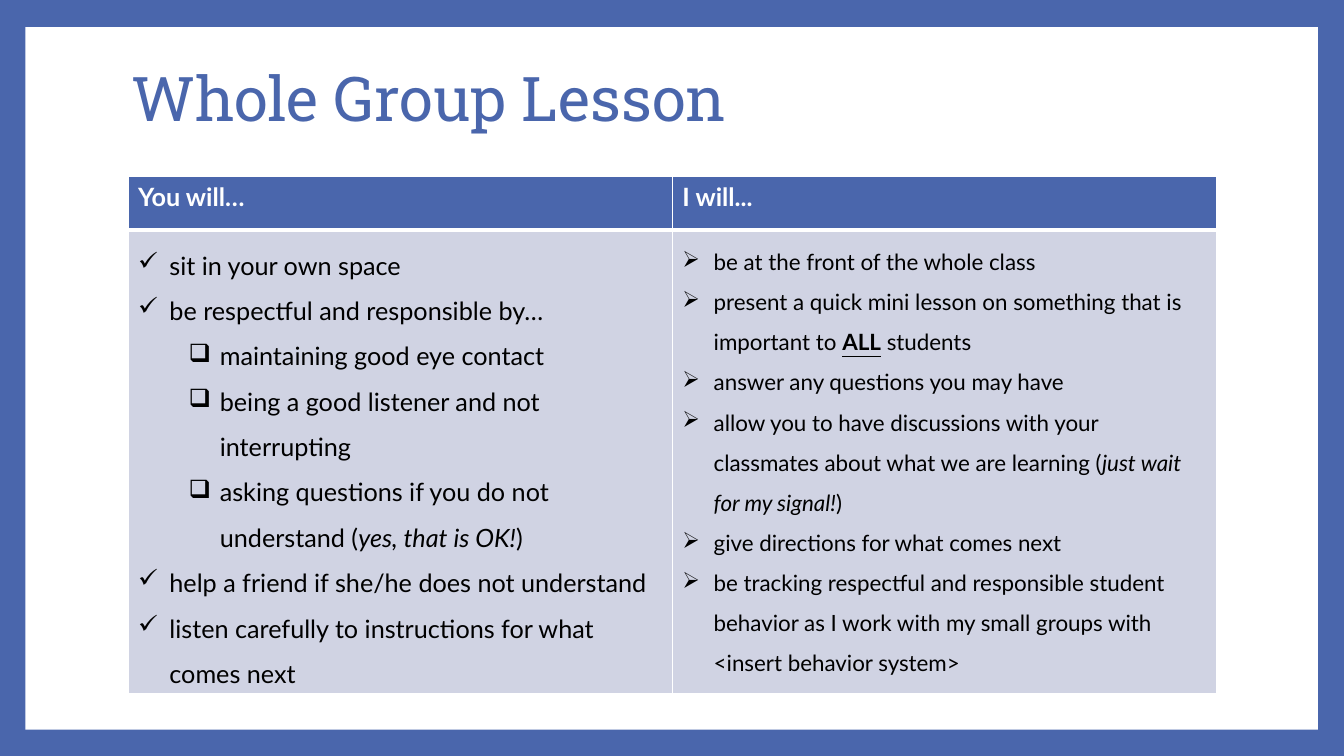
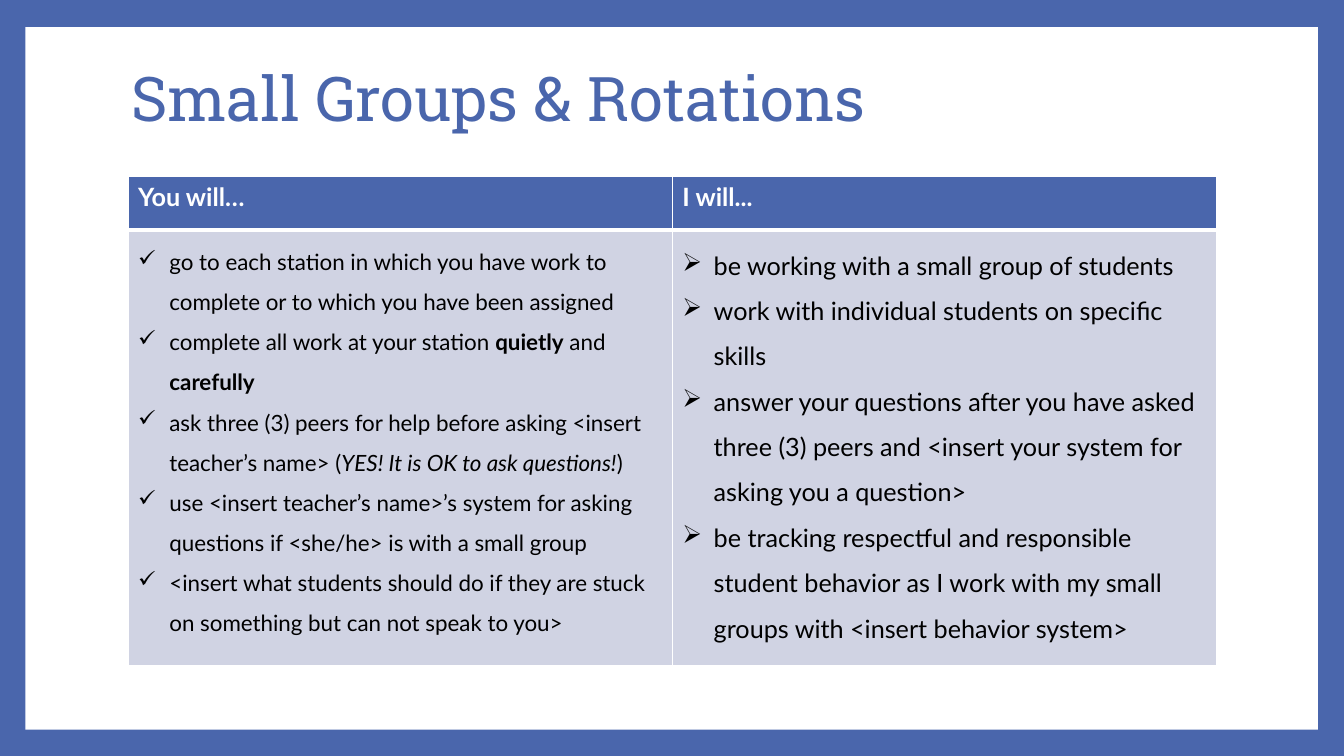
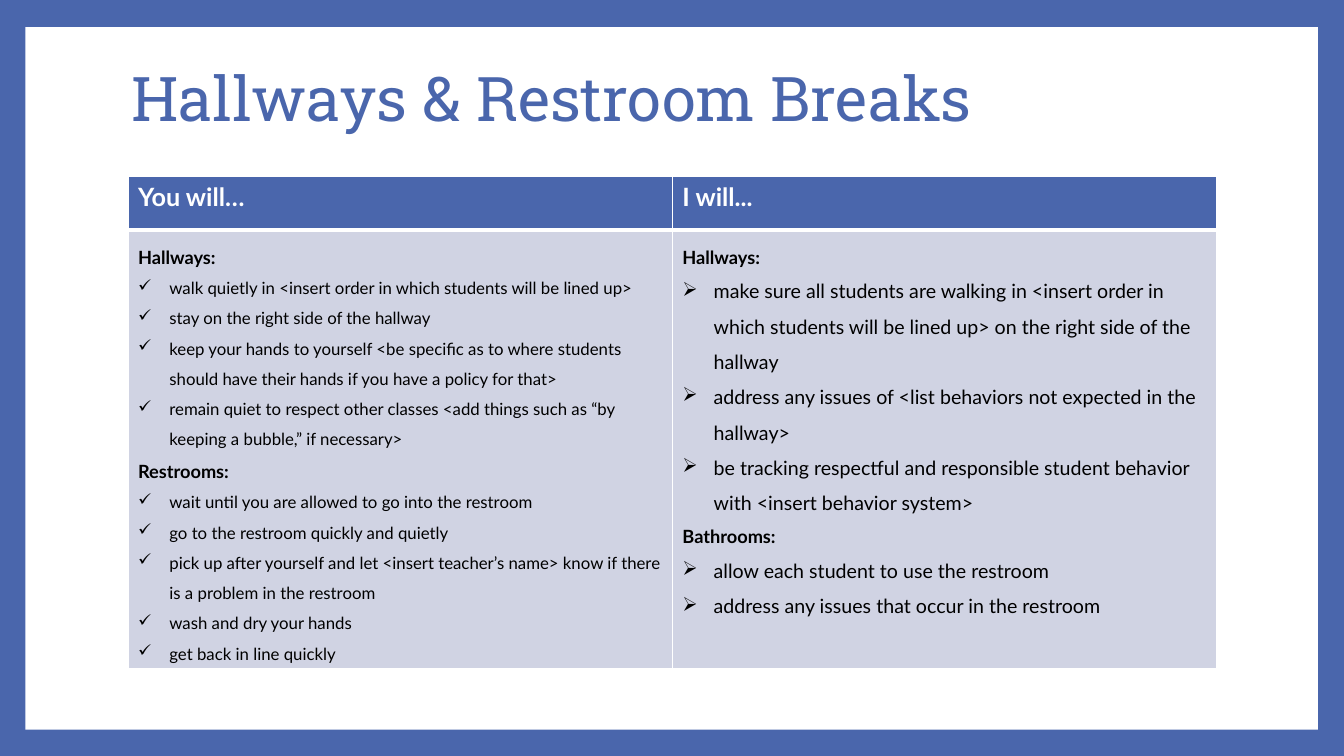
from dataclasses import dataclass

from lxml.etree import SubElement
from pptx import Presentation
from pptx.dml.color import RGBColor as Color
from pptx.enum.shapes import MSO_SHAPE as Preset
from pptx.enum.text import MSO_ANCHOR as Anchor
from pptx.enum.text import MSO_AUTO_SIZE as AutoSize
from pptx.enum.text import PP_ALIGN as Align
from pptx.oxml import parse_xml
from pptx.oxml.ns import nsdecls, qn
from pptx.util import Inches, Pt


@dataclass(frozen=True)
class Theme:
    """Colours, fonts and type sizes shared by all slides."""
    blue: str = "4A66AC"
    white: str = "FFFFFF"
    pale: str = "D0D3E3"
    black: str = "000000"
    title_font: str = "Roboto Slab"
    body_font: str = "Lato"
    title_size: int = 44
    header_size: int = 18
    heading_size: int = 13
    thin_line: int = 1
    thick_line: int = 3


@dataclass(frozen=True)
class Box:
    """A rectangle in percent of the slide's width and height."""
    left: float
    top: float
    width: float
    height: float

    def place(self):
        """Return the rectangle as left, top, width and height lengths."""
        return (Inches(WIDTH * self.left / 100), Inches(HEIGHT * self.top / 100),
                Inches(WIDTH * self.width / 100), Inches(HEIGHT * self.height / 100))


@dataclass(frozen=True)
class Styled:
    """A piece of text with its own font settings."""
    text: str
    bold: bool = False
    italic: bool = False
    underline: bool = False


@dataclass(frozen=True)
class Item:
    """One paragraph of a table cell."""
    pieces: tuple
    level: int = 0
    heading: bool = False


@dataclass(frozen=True)
class Column:
    """The type size, bullet and paragraphs of one table column."""
    size: int
    bullet: str
    items: tuple


THEME = Theme()
WIDTH, HEIGHT = 13.33, 7.5
PANEL = Box(1.88, 3.6, 96.17, 92.93)
TITLE = Box(9, 3.6, 81, 19.73)
TABLE = Box(9.53, 23.33, 81, 64.67)
HEADER_SHARE = 0.11
HEADERS = ("You will…", "I will...")
CHECK, ARROW, SQUARE = "✓", "➢", "❑"
BULLET_INDENT, LEVEL_INDENT = 0.31, 0.5
TRACKING = "be tracking respectful and responsible student behavior "
SMALL_GROUPS = TRACKING + "as I work with my small groups with <insert behavior system>"


def sub(*pieces):
    """Make an item of the second level."""
    return Item(pieces, level=1)


def heading(text):
    """Make a bold line without a bullet."""
    return Item((Styled(text, bold=True),), heading=True)


LESSONS = {
    "Whole Group Lesson": (
        Column(18, CHECK, (
            "sit in your own space",
            "be respectful and responsible by…",
            sub("maintaining good eye contact"),
            sub("being a good listener and not interrupting"),
            sub("asking questions if you do not understand (",
                Styled("yes, that is OK!", italic=True), ")"),
            "help a friend if she/he does not understand",
            "listen carefully to instructions for what comes next",
        )),
        Column(16, ARROW, (
            "be at the front of the whole class",
            Item(("present a quick mini lesson on something that is important to ",
                  Styled("ALL", bold=True, underline=True), " students")),
            "answer any questions you may have",
            Item(("allow you to have discussions with your classmates about what "
                  "we are learning (",
                  Styled("just wait for my signal!", italic=True), ")")),
            "give directions for what comes next",
            SMALL_GROUPS,
        )),
    ),
    "Small Groups & Rotations": (
        Column(16, CHECK, (
            "go to each station in which you have work to complete or to which "
            "you have been assigned",
            Item(("complete all work at your station ", Styled("quietly", bold=True),
                  " and ", Styled("carefully", bold=True))),
            Item(("ask three (3) peers for help before asking <insert teacher’s name> (",
                  Styled("YES! It is OK to ask questions!", italic=True), ")")),
            "use <insert teacher’s name>’s system for asking questions if <she/he> "
            "is with a small group",
            "<insert what students should do if they are stuck on something but "
            "can not speak to you>",
        )),
        Column(18, ARROW, (
            "be working with a small group of students",
            "work with individual students on specific skills",
            "answer your questions after you have asked three (3) peers and "
            "<insert your system for asking you a question>",
            SMALL_GROUPS,
        )),
    ),
    "Hallways & Restroom Breaks": (
        Column(12, CHECK, (
            heading("Hallways:"),
            "walk quietly in <insert order in which students will be lined up>",
            "stay on the right side of the hallway",
            "keep your hands to yourself <be specific as to where students should "
            "have their hands if you have a policy for that>",
            "remain quiet to respect other classes <add things such as “by keeping "
            "a bubble,” if necessary>",
            heading("Restrooms:"),
            "wait until you are allowed to go into the restroom",
            "go to the restroom quickly and quietly",
            "pick up after yourself and let <insert teacher’s name> know if there "
            "is a problem in the restroom",
            "wash and dry your hands",
            "get back in line quickly",
        )),
        Column(14, ARROW, (
            heading("Hallways:"),
            "make sure all students are walking in <insert order in which students "
            "will be lined up> on the right side of the hallway",
            "address any issues of <list behaviors not expected in the hallway>",
            TRACKING + "with <insert behavior system>",
            heading("Bathrooms:"),
            "allow each student to use the restroom",
            "address any issues that occur in the restroom",
        )),
    ),
}


def apply(target, values):
    """Set every attribute named in values on the target."""
    for name, value in values.items():
        setattr(target, name, value)


def paint(fill, color):
    """Give a fill one solid colour."""
    fill.solid()
    fill.fore_color.rgb = Color.from_string(color)


def add_run(paragraph, piece, font, size, color):
    """Add one formatted run to a paragraph."""
    run = paragraph.add_run()
    run.text = piece.text
    apply(run.font, {"name": font, "size": Pt(size), "bold": piece.bold,
                     "italic": piece.italic, "underline": piece.underline})
    run.font.color.rgb = Color.from_string(color)


def add_bullet(paragraph, level, character):
    """Give a paragraph a hanging bullet."""
    paragraph.level = level
    properties = paragraph._p.get_or_add_pPr()
    properties.set("marL", str(Inches(BULLET_INDENT + level * LEVEL_INDENT)))
    properties.set("indent", str(-Inches(BULLET_INDENT)))
    SubElement(properties, qn("a:buChar")).set("char", character)


def style_cell(cell, color, borders):
    """Fill a cell and draw its four borders in white."""
    paint(cell.fill, color)
    properties = cell._tc.get_or_add_tcPr()
    for index, (side, width) in enumerate(borders.items()):
        properties.insert(index, parse_xml(
            f'<a:ln{side} {nsdecls("a")} w="{Pt(width)}"><a:solidFill>'
            f'<a:srgbClr val="{THEME.white}"/></a:solidFill></a:ln{side}>'))


def fill_header(cell, text):
    """Write and style a header cell."""
    thin = THEME.thin_line
    style_cell(cell, THEME.blue, {"L": thin, "R": thin, "T": thin, "B": THEME.thick_line})
    add_run(cell.text_frame.paragraphs[0], Styled(text, bold=True),
            THEME.body_font, THEME.header_size, THEME.white)


def fill_body(cell, column):
    """Write and style the list of one column."""
    thin = THEME.thin_line
    style_cell(cell, THEME.pale, {"L": thin, "R": thin, "T": THEME.thick_line, "B": thin})
    for index, entry in enumerate(column.items):
        item = Item((entry,)) if isinstance(entry, str) else entry
        frame = cell.text_frame
        paragraph = frame.add_paragraph() if index else frame.paragraphs[0]
        paragraph.line_spacing = 1.5
        if not item.heading:
            add_bullet(paragraph, item.level, SQUARE if item.level else column.bullet)
        size = THEME.heading_size if item.heading else column.size
        for piece in item.pieces:
            styled = Styled(piece) if isinstance(piece, str) else piece
            add_run(paragraph, styled, THEME.body_font, size, THEME.black)


def add_expectations(slide, box, columns):
    """Place the two-column table in its box."""
    table = slide.shapes.add_table(2, len(columns), *box.place()).table
    apply(table, {"first_row": True, "horz_banding": False})
    height = box.place()[3]
    table.rows[0].height = round(height * HEADER_SHARE)
    table.rows[1].height = height - table.rows[0].height
    for index, (header, column) in enumerate(zip(HEADERS, columns)):
        fill_header(table.cell(0, index), header)
        fill_body(table.cell(1, index), column)


def set_title(slide, box, text):
    """Move, format and fill the title placeholder."""
    title = slide.shapes.title
    apply(title, dict(zip(("left", "top", "width", "height"), box.place())))
    apply(title.text_frame, {"vertical_anchor": Anchor.MIDDLE, "word_wrap": True,
                             "auto_size": AutoSize.NONE})
    paragraph = title.text_frame.paragraphs[0]
    apply(paragraph, {"alignment": Align.LEFT, "line_spacing": 0.9})
    add_run(paragraph, Styled(text), THEME.title_font, THEME.title_size, THEME.blue)


def frame_layout(layout, slide, box):
    """Give the layout a blue background and a white panel drawn through a slide."""
    paint(layout.background.fill, THEME.blue)
    panel = slide.shapes.add_shape(Preset.RECTANGLE, *box.place())
    panel.shadow.inherit = False
    panel.line.fill.background()
    paint(panel.fill, THEME.white)
    layout.shapes._spTree.insert(2, panel._element)


def add_lesson(presentation, layout, title, columns):
    """Add one slide with its title and table."""
    slide = presentation.slides.add_slide(layout)
    set_title(slide, TITLE, title)
    add_expectations(slide, TABLE, columns)
    return slide


def main():
    """Build and save the presentation."""
    presentation = Presentation()
    apply(presentation, {"slide_width": Inches(WIDTH), "slide_height": Inches(HEIGHT)})
    layout = presentation.slide_layouts.get_by_name("Title Only")
    slides = [add_lesson(presentation, layout, title, columns)
              for title, columns in LESSONS.items()]
    frame_layout(layout, slides[0], PANEL)
    presentation.save("out.pptx")


if __name__ == "__main__":
    main()
